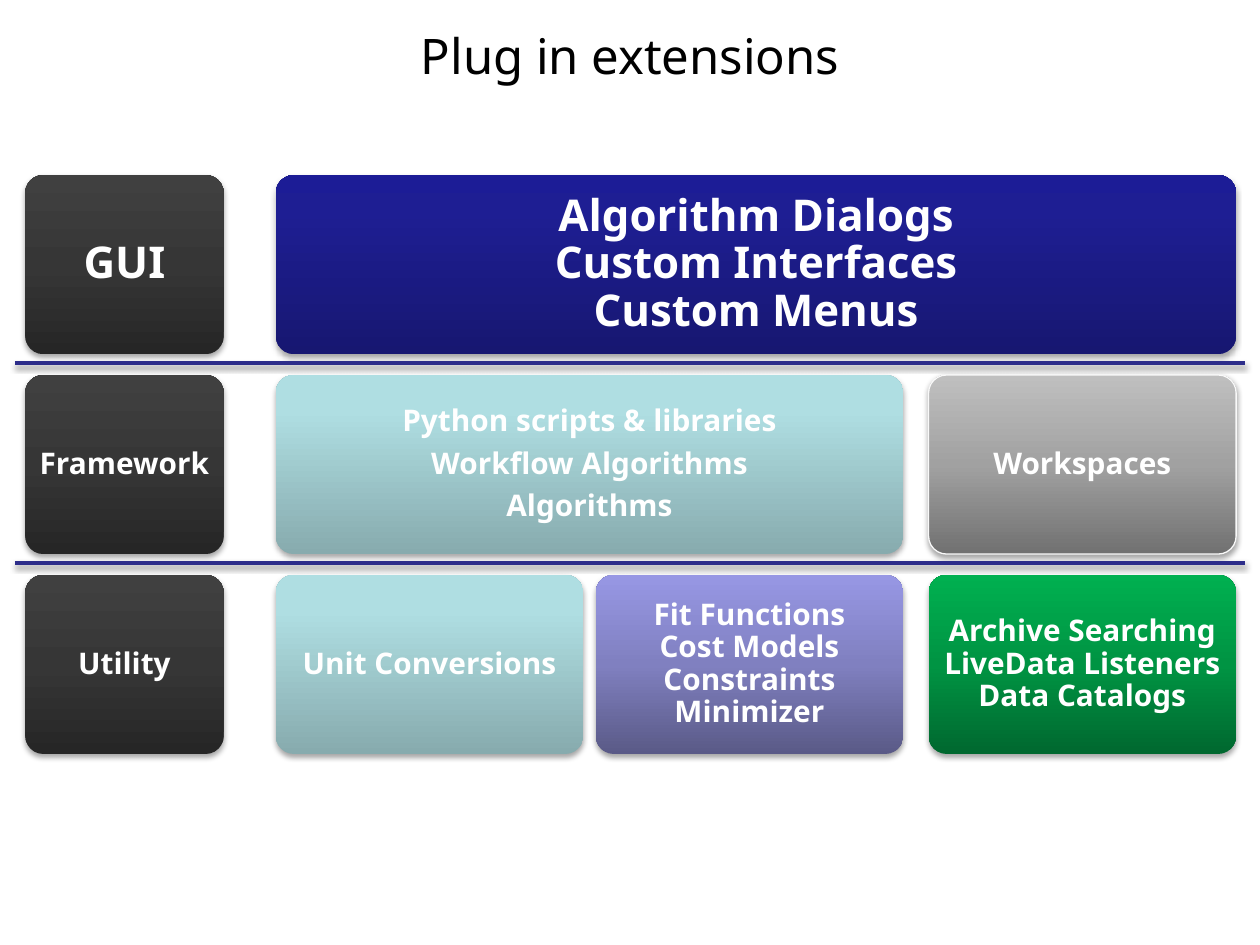
from copy import deepcopy

from lxml import etree
from pptx import Presentation, util as u
from pptx.dml.color import RGBColor
from pptx.enum import shapes, text
from pptx.oxml.ns import qn

FONT = "Noto Sans"
BLACK = RGBColor(0x00, 0x00, 0x00)
WHITE = RGBColor(0xFF, 0xFF, 0xFF)
PALE = RGBColor(0xF9, 0xF9, 0xF9)
RULE = RGBColor(0x2D, 0x2D, 0x8A)


def gradient(middle, *colours):
    """Three stops from bottom to top, the second at the given position."""
    return list(zip((0, middle, 1), map(RGBColor.from_string, colours)))


CHARCOAL = gradient(0.5, "262626", "363636", "404040")
NAVY = gradient(0.8, "171771", "1E1E93", "1C1C96")
AQUA = gradient(0.8, "87ABAE", "AFDEE2", "AFE0E4")
VIOLET = gradient(0.5, "5A5A87", "8080C0", "9797E4")
GREY = gradient(0.5, "717171", "A1A1A1", "BFBFBF")
GREEN = gradient(0.5, "00682F", "009443", "00B050")

TITLE = "Plug in extensions"
# Each layer: name, text size, blocks of (first column, columns, gradient, outline, paragraphs)
LAYERS = [
    ("GUI", 25, [
        (0, 3, NAVY, None, ["Algorithm Dialogs\vCustom Interfaces\vCustom Menus"]),
    ]),
    ("Framework", 17, [
        (0, 2, AQUA, None,
         ["Python scripts & libraries", "Workflow Algorithms", "Algorithms"]),
        (2, 1, GREY, PALE, ["Workspaces"]),
    ]),
    ("Utility", 17, [
        (0, 1, AQUA, None, ["Unit Conversions"]),
        (1, 1, VIOLET, None, ["Fit Functions\vCost Models\vConstraints\vMinimizer"]),
        (2, 1, GREEN, None,
         ["Archive Searching\vLiveData Listeners\vData Catalogs"]),
    ]),
]

# Layout in centimetres
LAYER_TOP, LAYER_PITCH, BLOCK_HEIGHT = 3.53, 4.03, 3.61
NAME_LEFT, NAME_WIDTH = 0.51, 4.0
COLUMN_LEFTS, COLUMN_WIDTH = (5.56, 12.01, 18.72), 6.2
RULE_LEFT, RULE_RIGHT, RULE_TOP = 0.3, 25.1, 7.32


def add_shadow(item, opacity):
    properties = item._element.spPr
    effects = etree.SubElement(properties, qn("a:effectLst"))
    outer = etree.SubElement(effects, qn("a:outerShdw"), blurRad="40000",
                             dist="23000", dir="5400000", rotWithShape="0")
    colour = etree.SubElement(outer, qn("a:srgbClr"), val="000000")
    etree.SubElement(colour, qn("a:alpha"), val=str(opacity * 1000))


def fill_gradient(block, stops):
    block.fill.gradient()
    block.fill.gradient_angle = 90
    stop_list = block._element.spPr.find(".//" + qn("a:gsLst"))
    stop_list.append(deepcopy(stop_list[-1]))
    for stop, (position, colour) in zip(block.fill.gradient_stops, stops):
        stop.position = position
        stop.color.rgb = colour


def write(frame, paragraphs, size, colour, bold, inset, spacing):
    frame_format = dict.fromkeys(
        ("margin_left", "margin_right", "margin_top", "margin_bottom"), u.Cm(inset))
    frame_format.update(word_wrap=True, vertical_anchor=text.MSO_ANCHOR.MIDDLE)
    for name, value in frame_format.items():
        setattr(frame, name, value)
    frame.text = "\n".join(paragraphs)
    for paragraph in frame.paragraphs:
        paragraph.alignment = text.PP_ALIGN.CENTER
        for name, value in spacing.items():
            setattr(paragraph, name, value)
        for run in paragraph.runs:
            run.font.color.rgb = colour
            for name, value in dict(name=FONT, size=u.Pt(size), bold=bold).items():
                setattr(run.font, name, value)


def add_block(slide, left, top, width, stops, outline, paragraphs, size):
    block = slide.shapes.add_shape(
        shapes.MSO_SHAPE.ROUNDED_RECTANGLE,
        u.Cm(left), u.Cm(top), u.Cm(width), u.Cm(BLOCK_HEIGHT))
    block.adjustments[0] = 0.1
    fill_gradient(block, stops)
    if outline is None:
        block.line.fill.background()
    else:
        block.line.color.rgb = outline
        block.line.width = u.Pt(0.75)
    add_shadow(block, 35)
    write(block.text_frame, paragraphs, size, WHITE, True, 0.08,
          dict(line_spacing=0.9, space_after=u.Pt(size * 0.35)))


def add_rule(slide, top):
    rule = slide.shapes.add_connector(
        shapes.MSO_CONNECTOR.STRAIGHT,
        u.Cm(RULE_LEFT), u.Cm(top), u.Cm(RULE_RIGHT), u.Cm(top))
    rule.line.color.rgb = RULE
    rule.line.width = u.Pt(2)
    add_shadow(rule, 38)


def main():
    deck = Presentation()
    deck.slide_width, deck.slide_height = u.Cm(25.4), u.Cm(19.05)
    slide = deck.slides.add_slide(deck.slide_layouts[6])

    title = slide.shapes.add_textbox(u.Cm(1.27), u.Cm(-0.48), u.Cm(22.86), u.Cm(3.18))
    write(title.text_frame, [TITLE], 28, BLACK, False, 0.13, {})

    for index, (name, size, blocks) in enumerate(LAYERS):
        top = LAYER_TOP + index * LAYER_PITCH
        add_block(slide, NAME_LEFT, top, NAME_WIDTH, CHARCOAL, None, [name], size)
        for first, columns, stops, outline, paragraphs in blocks:
            left = COLUMN_LEFTS[first]
            width = COLUMN_LEFTS[first + columns - 1] + COLUMN_WIDTH - left
            add_block(slide, left, top, width, stops, outline, paragraphs, size)

    for index in range(len(LAYERS) - 1):
        add_rule(slide, RULE_TOP + index * LAYER_PITCH)

    deck.save("out.pptx")


if __name__ == "__main__":
    main()
